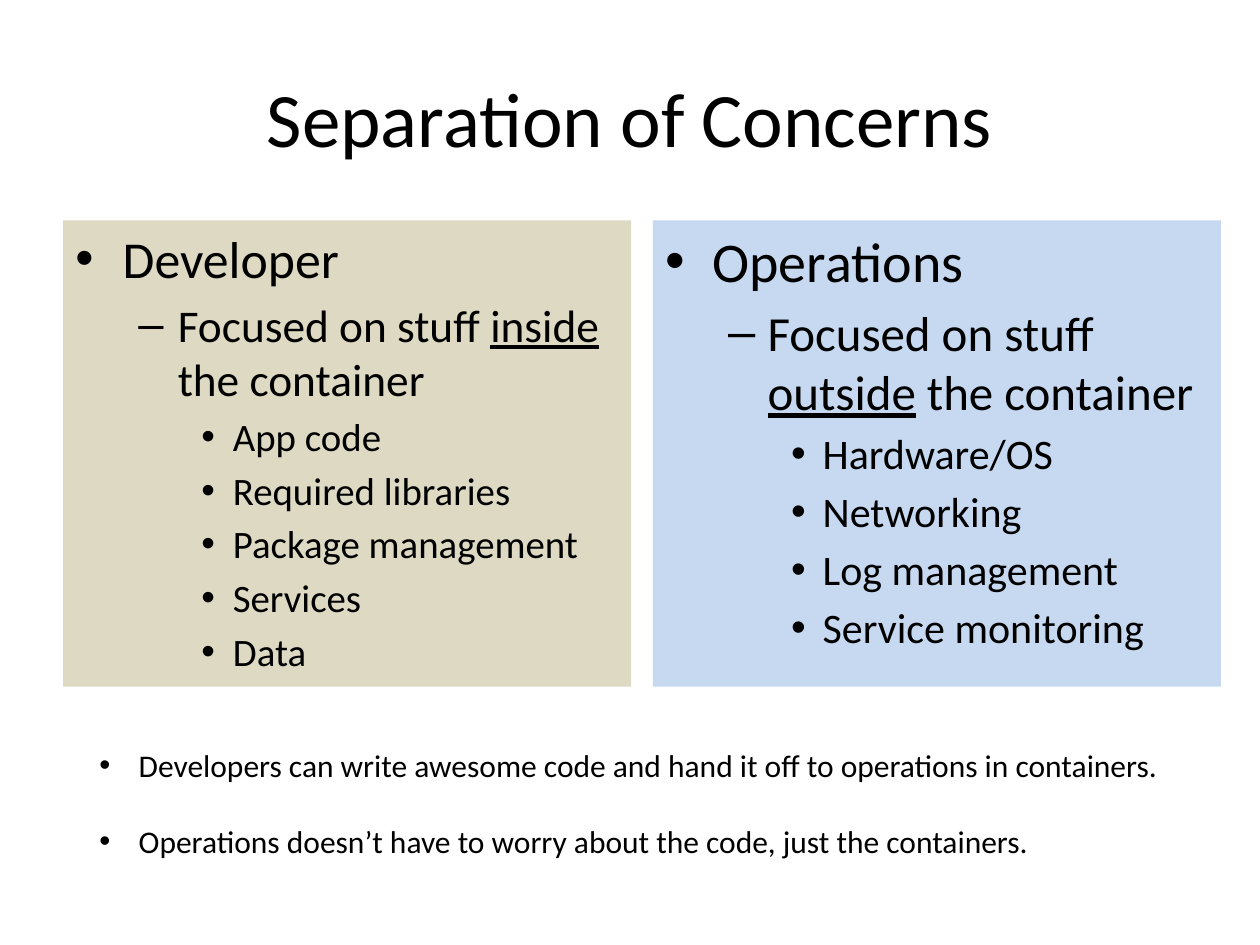
from dataclasses import dataclass

from lxml.etree import SubElement
from pptx import Presentation
from pptx.dml.color import RGBColor
from pptx.enum.shapes import MSO_SHAPE
from pptx.enum.text import MSO_ANCHOR, MSO_AUTO_SIZE, PP_ALIGN
from pptx.oxml.ns import qn
from pptx.util import Pt

FONT = "Calibri"
BLACK = "000000"


@dataclass(frozen=True)
class Level:
    margin: float
    hanging: float
    bullet: str


@dataclass(frozen=True)
class Panel:
    left: float
    fill: str
    heading: str
    place: str
    topics: tuple[str, ...]
    sizes: tuple[float, float, float]


LEVELS = (Level(27, 27, "•"), Level(58.5, 22.5, "–"), Level(90, 18, "•"))
NOTE_LEVEL = Level(22.5, 22.5, "•")
PANELS = (
    Panel(36, "DDD9C3", "Developer", "inside",
          ("App code", "Required libraries", "Package management", "Services", "Data"),
          (29.6, 25.9, 22.2)),
    Panel(373, "C6D9F1", "Operations", "outside",
          ("Hardware/OS", "Networking", "Log management", "Service monitoring"),
          (32, 28, 24)),
)
NOTES = (
    "Developers can write awesome code and hand it off to operations in containers.",
    "Operations doesn’t have to worry about the code, just the containers.",
)


def color(value: str) -> RGBColor:
    return RGBColor.from_string(value)


def format_runs(paragraph, size: float) -> None:
    for run in paragraph.runs:
        run.font.name = FONT
        run.font.size = Pt(size)
        run.font.color.rgb = color(BLACK)


def set_bullet(paragraph, level: Level) -> None:
    properties = paragraph._p.get_or_add_pPr()
    properties.set("marL", str(Pt(level.margin)))
    properties.set("indent", str(-Pt(level.hanging)))
    SubElement(properties, qn("a:buFont"), typeface="Arial")
    SubElement(properties, qn("a:buChar"), char=level.bullet)


def add_paragraphs(text_frame, count: int) -> list:
    return [text_frame.paragraphs[0]] + [text_frame.add_paragraph() for _ in range(count - 1)]


def add_title(slide, text: str) -> None:
    shape = slide.shapes.add_textbox(Pt(36), Pt(21.6), Pt(648), Pt(90))
    text_frame = shape.text_frame
    text_frame.word_wrap = True
    text_frame.vertical_anchor = MSO_ANCHOR.MIDDLE
    text_frame.text = text
    paragraph = text_frame.paragraphs[0]
    paragraph.alignment = PP_ALIGN.CENTER
    format_runs(paragraph, 44)


def add_panel(slide, panel: Panel) -> None:
    shape = slide.shapes.add_shape(
        MSO_SHAPE.RECTANGLE, Pt(panel.left), Pt(126), Pt(324.72), Pt(266.4))
    shape.shadow.inherit = False
    shape.fill.solid()
    shape.fill.fore_color.rgb = color(panel.fill)
    shape.line.fill.background()
    text_frame = shape.text_frame
    text_frame.word_wrap = True
    text_frame.vertical_anchor = MSO_ANCHOR.TOP
    items = [(0, (panel.heading,)),
             (1, ("Focused on stuff ", panel.place, " the container"))]
    items += [(2, (topic,)) for topic in panel.topics]
    for paragraph, (depth, texts) in zip(add_paragraphs(text_frame, len(items)), items):
        for text in texts:
            run = paragraph.add_run()
            run.text = text
            if text == panel.place:
                run.font.underline = True
        size = panel.sizes[depth]
        paragraph.level = depth
        paragraph.alignment = PP_ALIGN.LEFT
        paragraph.space_before = Pt(round(size * 0.18, 1))
        set_bullet(paragraph, LEVELS[depth])
        format_runs(paragraph, size)


def add_notes(slide, notes: tuple[str, ...]) -> None:
    shape = slide.shapes.add_textbox(Pt(49.7), Pt(422.6), Pt(626.4), Pt(72.7))
    text_frame = shape.text_frame
    text_frame.word_wrap = False
    text_frame.auto_size = MSO_AUTO_SIZE.SHAPE_TO_FIT_TEXT
    for index, paragraph in enumerate(add_paragraphs(text_frame, len(notes))):
        paragraph.text = notes[index]
        paragraph.space_before = Pt(22 if index else 0)
        set_bullet(paragraph, NOTE_LEVEL)
        format_runs(paragraph, 18)


def main() -> None:
    presentation = Presentation()
    presentation.slide_width = Pt(720)
    presentation.slide_height = Pt(540)
    slide = presentation.slides.add_slide(presentation.slide_layouts[6])
    add_title(slide, "Separation of Concerns")
    for panel in PANELS:
        add_panel(slide, panel)
    add_notes(slide, NOTES)
    presentation.save("out.pptx")


main()
